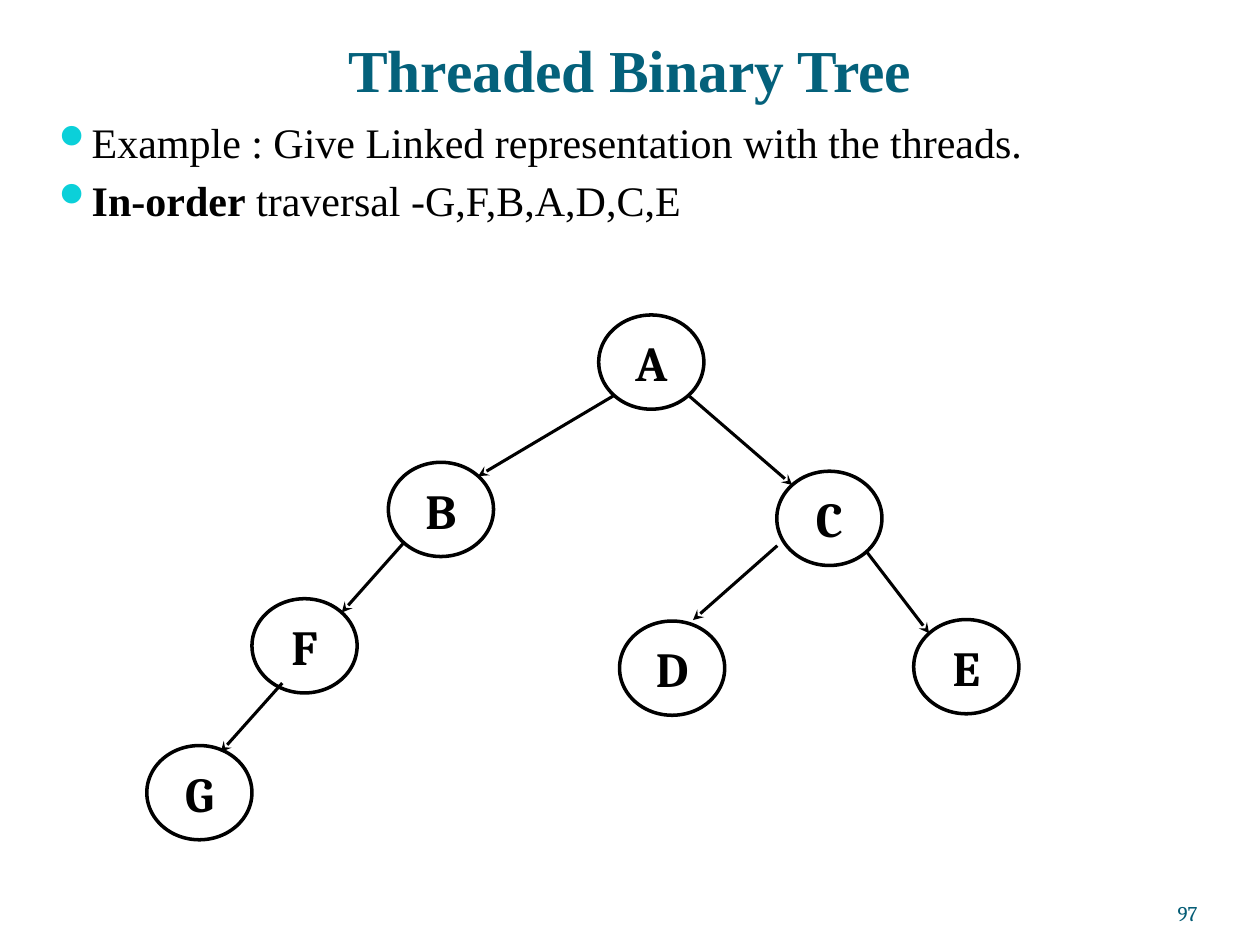
from dataclasses import dataclass
from math import sqrt

from lxml import etree
from pptx import Presentation
from pptx.dml.color import RGBColor
from pptx.enum.shapes import MSO_CONNECTOR, MSO_SHAPE
from pptx.enum.text import MSO_ANCHOR, PP_ALIGN
from pptx.oxml.ns import qn
from pptx.util import Cm, Pt

LINE, OVAL = MSO_CONNECTOR.STRAIGHT, MSO_SHAPE.OVAL
TOP, MID, LOW = MSO_ANCHOR.TOP, MSO_ANCHOR.MIDDLE, MSO_ANCHOR.BOTTOM
LEFT, MIDDLE, RIGHT = PP_ALIGN.LEFT, PP_ALIGN.CENTER, PP_ALIGN.RIGHT
COLORS = {"title": "04617B", "ink": "000000", "dot": "0BD0D9", "page": "045C75"}
SERIF, BOOK = "Times New Roman", "Cambria"
WIDE, HIGH = 2.12, 1.9  # node size in cm
DX, DY = WIDE / 2 / sqrt(2), HIGH / 2 / sqrt(2)  # centre to diagonal rim point


@dataclass
class Node:
    name: str
    x: float
    y: float

    def rim(self, right: int, down: int) -> tuple[float, float]:
        """Point on the rim at a diagonal, each sign being 1 or -1."""
        return self.x + WIDE / 2 + right * DX, self.y + HIGH / 2 + down * DY


@dataclass
class Run:
    text: str
    size: float
    font: str
    color: str
    bold: bool = False


NODES = {n.name: n for n in (
    Node("A", 12.07, 6.35), Node("B", 7.83, 9.32), Node("F", 5.08, 12.07),
    Node("C", 15.66, 9.5), Node("G", 2.96, 15.03), Node("D", 12.49, 12.52),
    Node("E", 18.42, 12.49))}
# Parent, child and side of the child: -1 left, 1 right
EDGES = [("A", "B", -1), ("B", "F", -1), ("A", "C", 1), ("C", "E", 1)]
# Edges that leave the diagonal rim points: F to G, C to D
LOOSE = [((5.69, 13.77), (4.45, 15.16)), ((15.67, 11.0), (13.97, 12.5))]


def add_run(para, run: Run) -> None:
    part = para.add_run()
    part.text = run.text
    font = part.font
    font.size, font.name, font.bold = Pt(run.size), run.font, run.bold
    font.color.rgb = RGBColor.from_string(COLORS[run.color])


def add_text(slide, box, anchor, inset=(0, 0, 0, 0)):
    frame = slide.shapes.add_textbox(*map(Cm, box)).text_frame
    frame.word_wrap, frame.vertical_anchor = True, anchor
    (frame.margin_left, frame.margin_top,
     frame.margin_right, frame.margin_bottom) = map(Cm, inset)
    return frame


def add_bullet(para) -> None:
    props = para._p.get_or_add_pPr()
    props.set("marL", str(Cm(0.76)))
    props.set("indent", str(-Cm(0.76)))
    tint = etree.SubElement(props, qn("a:buClr"))
    etree.SubElement(tint, qn("a:srgbClr"), val=COLORS["dot"])
    etree.SubElement(props, qn("a:buChar"), char="⚫")


def add_node(slide, node: Node) -> None:
    oval = slide.shapes.add_shape(
        OVAL, Cm(node.x), Cm(node.y), Cm(WIDE), Cm(HIGH))
    oval.shadow.inherit = False
    oval.fill.background()
    oval.line.color.rgb = RGBColor.from_string(COLORS["ink"])
    oval.line.width = Pt(2)
    frame = oval.text_frame
    frame.vertical_anchor = MID
    para = frame.paragraphs[0]
    para.alignment = MIDDLE
    add_run(para, Run(node.name, 28, BOOK, "ink", True))


def add_arrow(slide, start: tuple[float, float], end: tuple[float, float]) -> None:
    arrow = slide.shapes.add_connector(LINE, *map(Cm, start + end))
    arrow.line.color.rgb = RGBColor.from_string(COLORS["ink"])
    arrow.line.width = Pt(1.75)
    etree.SubElement(arrow.line._get_or_add_ln(), qn("a:tailEnd"), type="stealth")
    etree.SubElement(arrow._element.spPr, qn("a:effectLst"))


def main() -> None:
    deck = Presentation()
    deck.slide_width, deck.slide_height = Cm(25.4), Cm(19.05)
    slide = deck.slides.add_slide(deck.slide_layouts[6])

    # Title
    para = add_text(slide, (1.27, 0.2, 22.86, 1.9), LOW, (0, 0.13, 0, 0)).paragraphs[0]
    para.alignment = MIDDLE
    add_run(para, Run("Threaded Binary Tree", 34, SERIF, "title", True))

    # Bullets
    frame = add_text(slide, (0.84, 2.21, 23.5, 3.07), TOP, (0.25, 0.13, 0.25, 0.13))
    points = [
        [("Example : Give Linked representation with the threads.", False)],
        [("In-order", True), (" traversal -G,F,B,A,D,C,E", False)],
    ]
    for i, point in enumerate(points):
        para = frame.add_paragraph() if i else frame.paragraphs[0]
        add_bullet(para)
        para.alignment = LEFT
        if i:
            para.space_before = Pt(4.8)
        for text, bold in point:
            add_run(para, Run(text, 24, SERIF, "ink", bold))

    # Tree
    for node in NODES.values():
        add_node(slide, node)
    for top, kid, side in EDGES:
        add_arrow(slide, NODES[top].rim(side, 1), NODES[kid].rim(-side, -1))
    for start, end in LOOSE:
        add_arrow(slide, start, end)

    # Page number
    para = add_text(slide, (22.02, 17.65, 2.12, 1.02), LOW).paragraphs[0]
    para.alignment = RIGHT
    add_run(para, Run("97", 12, BOOK, "page"))

    deck.save("out.pptx")


if __name__ == "__main__":
    main()
